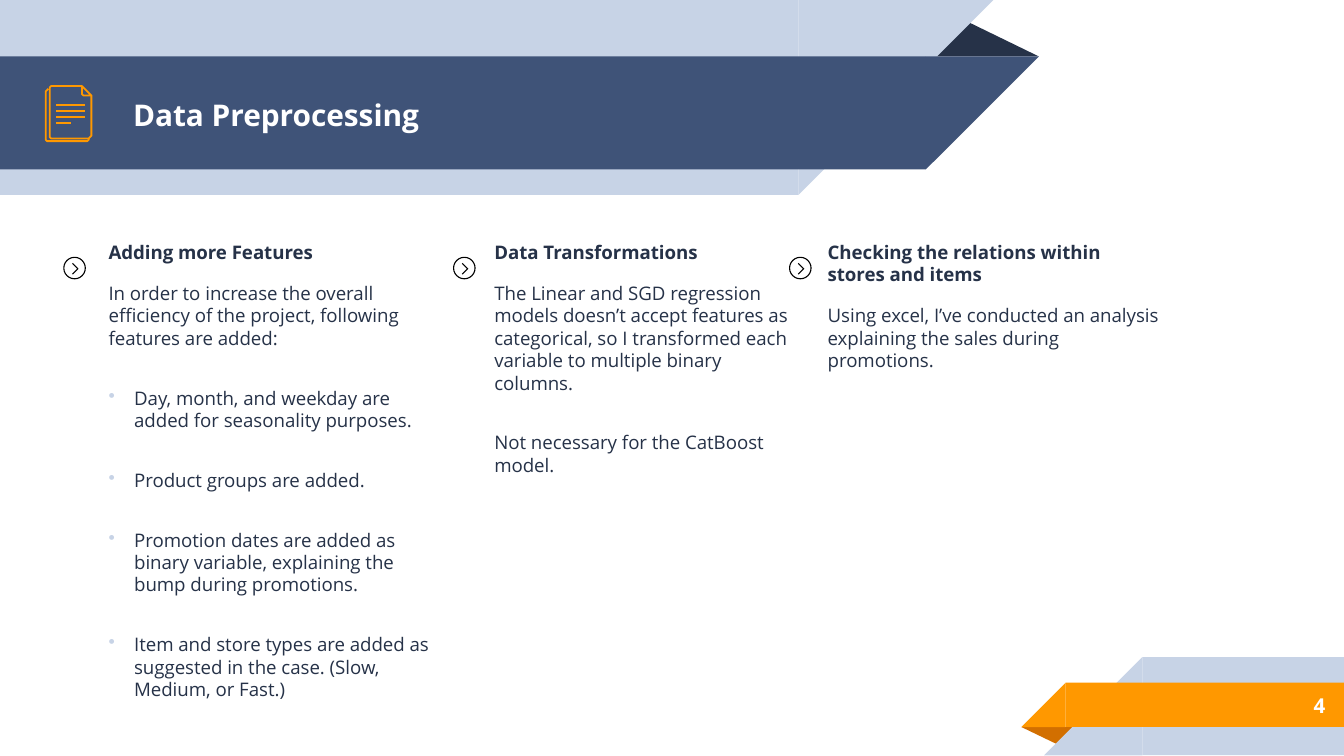
from lxml import etree
from pptx import Presentation
from pptx.dml.color import RGBColor
from pptx.enum.shapes import MSO_CONNECTOR, MSO_SHAPE
from pptx.enum.text import MSO_ANCHOR, PP_ALIGN
from pptx.oxml.ns import qn
from pptx.util import Pt

RECT = MSO_SHAPE.RECTANGLE
WEDGE = MSO_SHAPE.RIGHT_TRIANGLE
PEAK = MSO_SHAPE.ISOSCELES_TRIANGLE
OVAL = MSO_SHAPE.OVAL
LINE = MSO_CONNECTOR.STRAIGHT
TOP, MIDDLE = MSO_ANCHOR.TOP, MSO_ANCHOR.MIDDLE
LEFT, RIGHT = PP_ALIGN.LEFT, PP_ALIGN.RIGHT

FONT = "Open Sans"
INK, NAVY, PALE = "263248", "3F5378", "C7D3E6"
GOLD, RUST, WHITE, BLACK = "FF9800", "D26F00", "FFFFFF", "000000"
WIDE, HIGH = 1000, 562.5
PAD = 10

COLUMNS = [
    ((71, 169, 266, 351), 47, "Adding more Features",
     ["In order to increase the overall efficiency of the project, "
      "following features are added:"],
     ["Day, month, and weekday are added for seasonality purposes.",
      "Product groups are added.",
      "Promotion dates are added as binary variable, explaining the bump "
      "during promotions.",
      "Item and store types are added as suggested in the case. "
      "(Slow, Medium, or Fast.)"]),
    ((358, 169, 246, 296), 337, "Data Transformations",
     ["The Linear and SGD regression models doesn’t accept features as "
      "categorical, so I transformed each variable to multiple binary "
      "columns.",
      "Not necessary for the CatBoost model."], []),
    ((606, 169, 268, 296), 587,
     "Checking the relations within stores and items",
     ["Using excel, I’ve conducted an analysis explaining the sales during "
      "promotions."], []),
]


def px(n):
    """Turn px, 100 to the inch, into EMU."""
    return round(n * 9144)


def color(code):
    return RGBColor.from_string(code)


def shape(slide, kind, box, fill, flip=False, turn=0):
    item = slide.shapes.add_shape(kind, *map(px, box))
    item.shadow.inherit = False
    item.fill.solid()
    item.fill.fore_color.rgb = color(fill)
    item.line.fill.background()
    item.rotation = turn
    if flip:
        item._element.spPr.find(qn("a:xfrm")).set("flipH", "1")
    return item


def outline(item, code, width):
    item.shadow.inherit = False
    item.fill.background()
    item.line.color.rgb = color(code)
    item.line.width = Pt(width)


def path(slide, x, y, points, code, width, close=False):
    """Draw a line through points given relative to x, y."""
    spots = [(x + dx, y + dy) for dx, dy in points]
    form = slide.shapes.build_freeform(*spots[0], scale=px(1))
    form.add_line_segments(spots[1:], close=close)
    outline(form.convert_to_shape(), code, width)


def rule(slide, x, y, width):
    bar = slide.shapes.add_connector(LINE, *map(px, (x, y, x + width, y)))
    bar.line.color.rgb = color(GOLD)
    bar.line.width = Pt(0.96)
    etree.SubElement(bar._element.spPr, qn("a:effectLst"))


def setup(frame, anchor=TOP):
    frame.word_wrap = True
    frame.vertical_anchor = anchor
    frame.margin_left = frame.margin_right = px(PAD)
    frame.margin_top = frame.margin_bottom = px(PAD)


def write(frame, text, size=10, code=INK, bold=False, align=LEFT,
          before=0, after=0, dot=False):
    """Add a paragraph, using the first one while it is empty."""
    para = frame.paragraphs[0]
    if para.runs:
        para = frame.add_paragraph()
    para.alignment = align
    para.space_before, para.space_after = Pt(before), Pt(after)
    run = para.add_run()
    run.text = text
    font = run.font
    font.name, font.size, font.bold = FONT, Pt(size), bold
    font.color.rgb = color(code)
    if dot:
        props = para._p.get_or_add_pPr()
        props.set("marL", str(px(19)))
        props.set("indent", str(-px(19)))
        tint = etree.SubElement(props, qn("a:buClr"))
        etree.SubElement(tint, qn("a:srgbClr")).set("val", PALE)
        etree.SubElement(props, qn("a:buChar")).set("char", "•")


def banner(slide, x, y):
    peak = shape(slide, PEAK, (x + 688, y + 14, 85, 28), INK)
    peak.adjustments[0] = 0.324
    for top, width, side, fill in ((0, 594, 145, PALE), (42, 689, 84, NAVY)):
        shape(slide, RECT, (x, y + top, width, side), fill)
        shape(slide, WEDGE, (x + width, y + top, side, side), fill,
              flip=True, turn=180)


def footer(slide, x, y, number):
    peak = shape(slide, PEAK, (x, y + 52, 43, 14), RUST, turn=180)
    peak.adjustments[0] = 0.324
    for left, top, side, fill in ((17, 0, 73, PALE), (0, 19, 33, GOLD)):
        start = x + left + side
        shape(slide, RECT, (start, y + top, WIDE - start, side), fill)
        shape(slide, WEDGE, (x + left, y + top, side, side), fill, flip=True)
    label = slide.shapes.add_textbox(*map(px, (x + 73, y + 18, 163, 35)))
    setup(label.text_frame, MIDDLE)
    write(label.text_frame, number, size=11, code=WHITE, bold=True,
          align=RIGHT)


def heading(slide, box, text):
    """Fill the title and bring it in front of the banner."""
    title = slide.shapes.title
    title.left, title.top, title.width, title.height = map(px, box)
    setup(title.text_frame, MIDDLE)
    write(title.text_frame, text, size=16, code=WHITE, bold=True)
    slide.shapes._spTree.append(title._element)


def papers(slide, x, y):
    """Draw the icon of two sheets with a folded corner."""
    back = [(32, 39), (32, 40), (31, 41), (2, 41), (1, 41), (0, 40),
            (0, 4), (1, 3), (2, 2)]
    front = [(34, 7), (34, 37), (33, 38), (32, 39), (4, 39), (3, 38),
             (3, 1), (4, 0), (27, 0)]
    fold = [(27, 0), (34, 7), (28, 7), (27, 6)]
    path(slide, x, y, back, GOLD, 0.96)
    path(slide, x, y, front, GOLD, 0.96)
    path(slide, x, y, fold, GOLD, 0.96, close=True)
    for row, width in enumerate((21, 21, 21, 11)):
        rule(slide, x + 8, y + 14 + row * 4.5, width)


def marker(slide, x, y):
    """Draw a ring with a chevron in it."""
    ring = slide.shapes.add_shape(OVAL, *map(px, (x, y, 16, 16)))
    outline(ring, BLACK, 0.6)
    path(slide, x, y, [(7, 4), (11, 8), (7, 12)], BLACK, 0.6)


def column(slide, box, mark, head, texts, dots):
    frame = slide.shapes.add_textbox(*map(px, box)).text_frame
    setup(frame)
    write(frame, head, bold=True, before=6)
    for text in texts + dots:
        write(frame, text, before=10, after=10, dot=text in dots)
    marker(slide, mark + 0.5, box[1] + 22.5)


def main():
    deck = Presentation()
    deck.slide_width, deck.slide_height = px(WIDE), px(HIGH)
    slide = deck.slides.add_slide(deck.slide_layouts[5])
    banner(slide, 0, 0)
    footer(slide, 760, 489, "4")
    heading(slide, (89, 43, 692, 84), "Data Preprocessing")
    papers(slide, 34, 64)
    for part in COLUMNS:
        column(slide, *part)
    deck.save("out.pptx")


if __name__ == "__main__":
    main()
